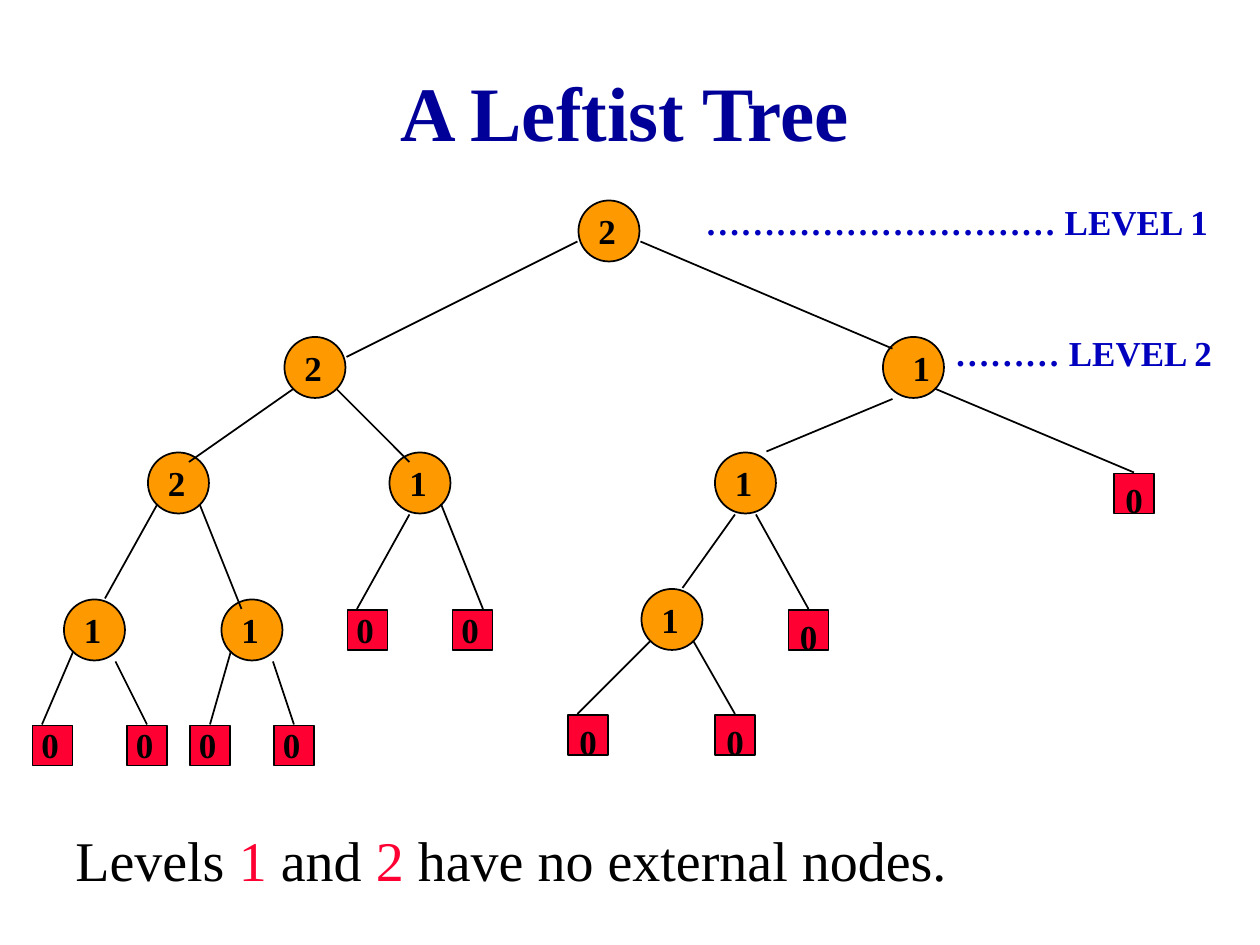
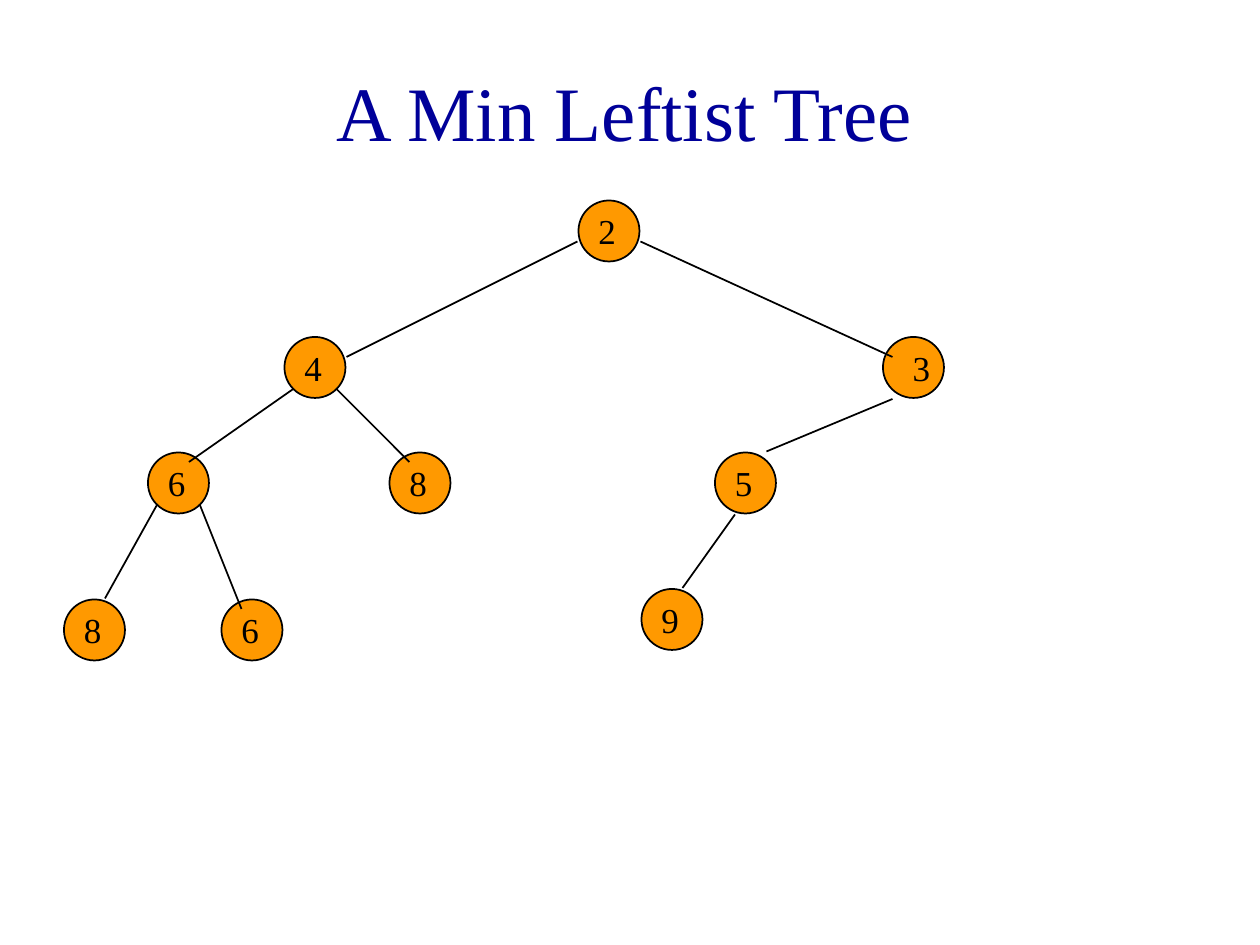
from dataclasses import dataclass
from typing import NamedTuple

from lxml import etree
from pptx import Presentation
from pptx.dml.color import RGBColor
from pptx.enum.shapes import MSO_CONNECTOR, MSO_SHAPE
from pptx.enum.text import MSO_ANCHOR, MSO_AUTO_SIZE, PP_ALIGN
from pptx.oxml.ns import qn
from pptx.slide import Slide
from pptx.util import Cm, Pt

OVAL, RECT = MSO_SHAPE.OVAL, MSO_SHAPE.RECTANGLE
STRAIGHT = MSO_CONNECTOR.STRAIGHT
LEFT, CENTER = PP_ALIGN.LEFT, PP_ALIGN.CENTER
TOP, MIDDLE = MSO_ANCHOR.TOP, MSO_ANCHOR.MIDDLE
FIT, FIXED = MSO_AUTO_SIZE.SHAPE_TO_FIT_TEXT, MSO_AUTO_SIZE.NONE

STEP = 25.4 / 120  # the trees sit on a grid of 1/12 inch, in cm
INSET = 0.02


@dataclass(frozen=True)
class Theme:
    font: str = "Times New Roman"
    ink: str = "000000"
    title: str = "000099"
    level: str = "0000BF"
    node: str = "FF9900"
    leaf: str = "FF0033"
    head: int = 44
    body: int = 32
    label: int = 20
    line: int = 1


class Box(NamedTuple):
    """A frame in centimetres."""
    left: float
    top: float
    width: float
    height: float


class Node(NamedTuple):
    """A circle at a grid point; shift moves its label right, in cm."""
    x: int
    y: int
    shift: float = 0


class Leaf(NamedTuple):
    """An external node at a grid point; low ones carry their label deeper."""
    x: int
    y: int
    low: bool = False


class Edge(NamedTuple):
    x1: float
    y1: float
    x2: float
    y2: float


class Part(NamedTuple):
    words: str
    color: str


THEME = Theme()

NODES = [
    Node(55, 19), Node(27, 32), Node(84, 32, 0.2), Node(14, 43), Node(37, 43),
    Node(68, 43), Node(6, 57), Node(21, 57), Node(61, 56),
]
LEAVES = [
    Leaf(33, 58), Leaf(43, 58), Leaf(75, 58, True), Leaf(106, 45, True),
    Leaf(3, 69), Leaf(12, 69), Leaf(18, 69), Leaf(26, 69),
    Leaf(54, 68, True), Leaf(68, 68, True),
]
EDGES = [
    Edge(55, 23, 33, 34), Edge(28, 37, 18, 44), Edge(32, 37, 39, 44),
    Edge(85, 38, 73, 43), Edge(15, 48, 10, 57), Edge(19, 48, 23, 58),
    Edge(70, 49, 65, 56),
]
TWIGS = [
    Edge(39, 49, 34, 58), Edge(42, 48, 46, 58), Edge(7, 62, 4, 69),
    Edge(11, 63, 14, 69), Edge(22, 62, 20, 69), Edge(26, 63, 28, 69),
    Edge(72, 49, 77, 58), Edge(89, 37, 108, 45), Edge(62, 61, 55, 68),
    Edge(66, 61, 70, 68),
]


def text(slide: Slide, box: Box, *parts: Part, size: int = THEME.label,
         bold: bool = False, align: PP_ALIGN = LEFT, anchor: MSO_ANCHOR = TOP,
         wrap: bool = True, fit: MSO_AUTO_SIZE = FIT) -> None:
    frame = slide.shapes.add_textbox(*map(Cm, box)).text_frame
    frame.word_wrap, frame.auto_size = wrap, fit
    frame.vertical_anchor = anchor
    para = frame.paragraphs[0]
    para.alignment = align
    for part in parts:
        run = para.add_run()
        run.text = part.words
        run.font.name, run.font.size, run.font.bold = THEME.font, Pt(size), bold
        run.font.color.rgb = RGBColor.from_string(part.color)


def shape(slide: Slide, kind: MSO_SHAPE, spot: Node | Leaf, span: int,
          fill: str) -> None:
    """Draw a preset shape that fills a square of span grid steps."""
    side = Cm(span * STEP - 2 * INSET)
    item = slide.shapes.add_shape(kind, Cm(spot.x * STEP + INSET),
                                  Cm(spot.y * STEP + INSET), side, side)
    item.shadow.inherit = False
    item.fill.solid()
    item.fill.fore_color.rgb = RGBColor.from_string(fill)
    item.line.color.rgb = RGBColor.from_string(THEME.ink)
    item.line.width = Pt(THEME.line)


def link(slide: Slide, edge: Edge) -> None:
    line = slide.shapes.add_connector(STRAIGHT, *(Cm(n * STEP) for n in edge))
    line.line.color.rgb = RGBColor.from_string(THEME.ink)
    line.line.width = Pt(THEME.line)
    etree.SubElement(line._element.spPr, qn("a:effectLst"))


def label(slide: Slide, spot: Node | Leaf, words: str, dx: float, dy: float,
          bold: bool) -> None:
    box = Box(spot.x * STEP + dx, spot.y * STEP + dy, 0.86, 1.1)
    text(slide, box, Part(words, THEME.ink), bold=bold, wrap=False)


def tree(deck: Presentation, title: str, marks: str, edges: list[Edge],
         leaves: list[Leaf], bold: bool) -> Slide:
    """Add a slide with its title and a tree; marks has one digit per node."""
    slide = deck.slides.add_slide(deck.slide_layouts[6])
    text(slide, Box(0.21, 0.64, 24.77, 3.18), Part(title, THEME.title),
         size=THEME.head, bold=bold, align=CENTER, anchor=MIDDLE, fit=FIXED)
    for node in NODES:
        shape(slide, OVAL, node, 6, THEME.node)
    for leaf in leaves:
        shape(slide, RECT, leaf, 4, THEME.leaf)
    for edge in edges:
        link(slide, edge)
    for node, mark in zip(NODES, marks, strict=True):
        label(slide, node, mark, 0.17 + node.shift, 0.08, bold)
    for leaf in leaves:
        dx, dy = (0, 0) if leaf.low else (-0.05, -0.14)
        label(slide, leaf, "0", dx, dy, bold)
    return slide


def main() -> None:
    deck = Presentation()
    deck.slide_width, deck.slide_height = Cm(25.4), Cm(19.05)

    slide = tree(deck, "A Leftist Tree", "221211111",
                 EDGES + [Edge(61, 23, 85, 33.2)] + TWIGS, LEAVES, True)
    text(slide, Box(1.27, 16.51, 23.5, 1.6),
         Part("Levels ", THEME.ink), Part("1 ", THEME.leaf),
         Part("and ", THEME.ink), Part("2 ", THEME.leaf),
         Part("have no external nodes.", THEME.ink), size=THEME.body)
    text(slide, Box(19.0, 6.55, 6.2, 1.12),
         Part("……… LEVEL 2", THEME.level), bold=True)
    text(slide, Box(13.97, 3.91, 10.74, 1.12),
         Part("………………………… LEVEL 1", THEME.level), bold=True)

    tree(deck, "A Min Leftist Tree", "243685869",
         EDGES + [Edge(61, 23, 85, 34)], [], False)
    deck.save("out.pptx")


if __name__ == "__main__":
    main()
